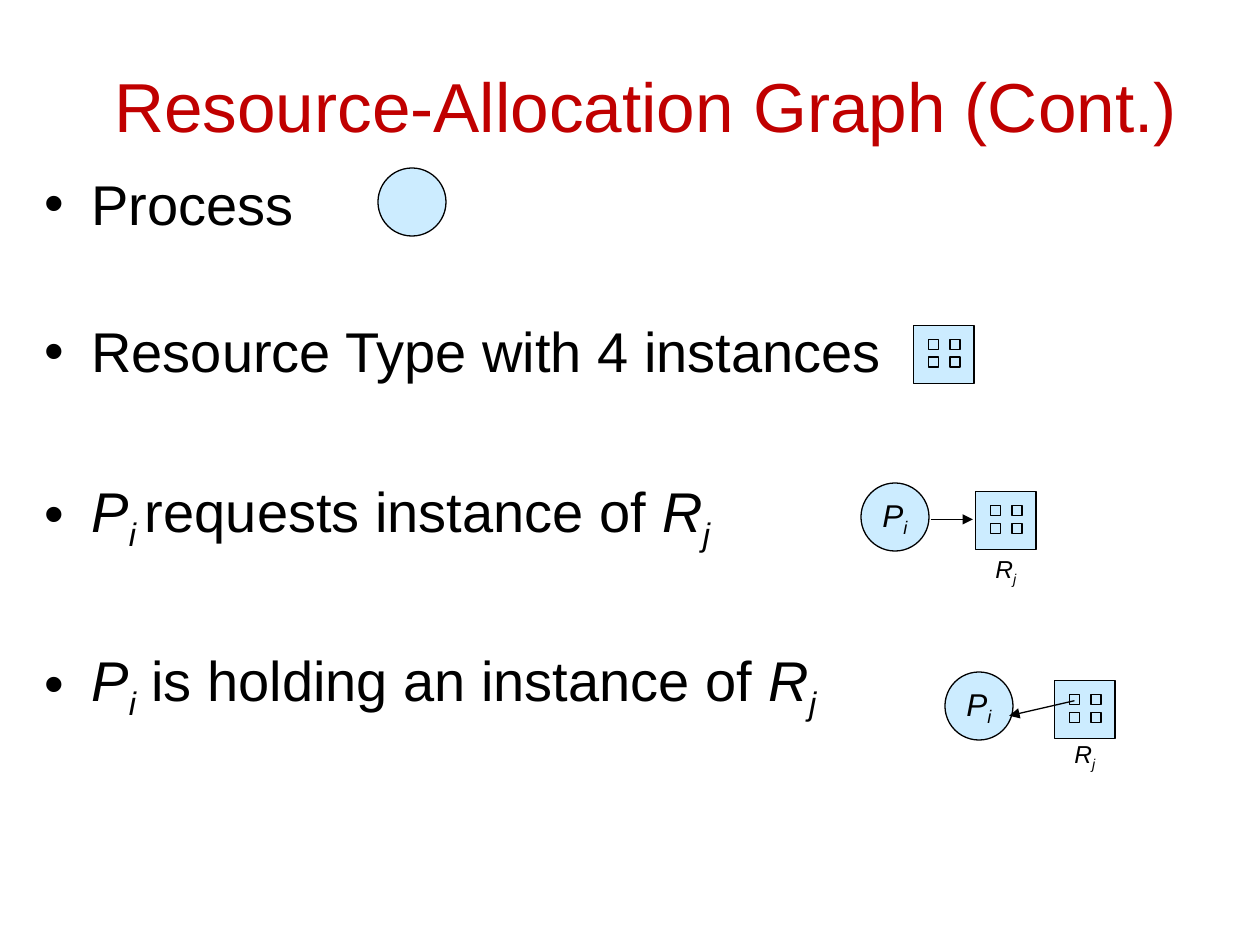
from itertools import product

from lxml.etree import SubElement
from pptx import Presentation
from pptx.dml.color import RGBColor
from pptx.enum.shapes import MSO_CONNECTOR, MSO_SHAPE
from pptx.enum.text import MSO_ANCHOR, MSO_AUTO_SIZE, PP_ALIGN
from pptx.oxml.ns import qn
from pptx.util import Pt

COLORS = {"title": "C00000", "text": "000000", "line": "000000", "fill": "CCECFF"}
FONT = "Arial"
CIRCLE = 38.9
SQUARE_WIDTH, SQUARE_HEIGHT = 34.6, 33.1
INSTANCE = 5.8
PROCESS_NAME = [("P", "italic"), ("i", "sub")]
RESOURCE_NAME = [("R", "italic"), ("j", "sub")]
BULLETS = [
    (0, [("Process", "plain")]),
    (46, [("Resource Type with 4 instances", "plain")]),
    (52.5, [("P", "italic"), ("i ", "sub"), ("requests instance of ", "plain"), *RESOURCE_NAME]),
    (53, [*PROCESS_NAME, (" is holding an instance of ", "plain"), *RESOURCE_NAME]),
]


def place(shape, left, top, width, height):
    """Move and size a shape, in points."""
    shape.left, shape.top = Pt(left), Pt(top)
    shape.width, shape.height = Pt(width), Pt(height)


def write(paragraph, pieces, size, color="text"):
    """Add styled runs, with subscripts in italics, to a paragraph."""
    for text, style in pieces:
        run = paragraph.add_run()
        run.text = text
        run.font.name, run.font.size = FONT, Pt(size)
        run.font.italic = style != "plain"
        run.font.color.rgb = RGBColor.from_string(COLORS[color])
        if style == "sub":
            run._r.get_or_add_rPr().set("baseline", "-25000")


def center_text(shape, pieces, size):
    """Write one centred line in the middle of a shape."""
    frame = shape.text_frame
    frame.word_wrap = False
    frame.vertical_anchor = MSO_ANCHOR.MIDDLE
    frame.paragraphs[0].alignment = PP_ALIGN.CENTER
    write(frame.paragraphs[0], pieces, size)


def add_node(shapes, kind, left, top, width, height):
    """Add a pale blue outlined shape."""
    shape = shapes.add_shape(kind, Pt(left), Pt(top), Pt(width), Pt(height))
    shape.shadow.inherit = False
    shape.fill.solid()
    shape.fill.fore_color.rgb = RGBColor.from_string(COLORS["fill"])
    shape.line.color.rgb = RGBColor.from_string(COLORS["line"])
    shape.line.width = Pt(0.75)
    return shape


def add_process(shapes, left, top):
    """Add a process circle."""
    return add_node(shapes, MSO_SHAPE.OVAL, left, top, CIRCLE, CIRCLE)


def add_resource(shapes, left, top):
    """Add a resource square holding a two by two grid of instances."""
    add_node(shapes, MSO_SHAPE.RECTANGLE, left, top, SQUARE_WIDTH, SQUARE_HEIGHT)
    for row, column in product(range(2), repeat=2):
        add_node(shapes, MSO_SHAPE.RECTANGLE, left + 8.6 + column * 12.2,
                 top + 7.9 + row * 10.1, INSTANCE, INSTANCE)


def add_arrow(shapes, start, end):
    """Add a thin arrow from start to end."""
    arrow = shapes.add_connector(MSO_CONNECTOR.STRAIGHT, *map(Pt, (*start, *end)))
    arrow.line.color.rgb = RGBColor.from_string(COLORS["line"])
    arrow.line.width = Pt(0.75)
    SubElement(arrow.line._get_or_add_ln(), qn("a:tailEnd"), type="triangle")
    SubElement(arrow._element.spPr, qn("a:effectLst"))


def add_edge(slide, left, top, resource_offset, label_top, start, end):
    """Add a process and a resource joined by an arrow, placed from the top left."""
    shapes = slide.shapes.add_group_shape().shapes
    center_text(add_process(shapes, left, top), PROCESS_NAME, 18)
    resource_left = left + resource_offset
    add_resource(shapes, resource_left, top + 5)
    add_arrow(shapes, (left + start[0], top + start[1]), (left + end[0], top + end[1]))
    width = 26.6
    label = shapes.add_textbox(Pt(resource_left + (SQUARE_WIDTH - width) / 2),
                               Pt(top + label_top), Pt(width), Pt(23.8))
    center_text(label, RESOURCE_NAME, 14)


def fill_title(title, box):
    """Place and write the title."""
    place(title, *box)
    frame = title.text_frame
    frame.auto_size = MSO_AUTO_SIZE.NONE
    frame.vertical_anchor = MSO_ANCHOR.MIDDLE
    frame.paragraphs[0].alignment = PP_ALIGN.CENTER
    write(frame.paragraphs[0], [("Resource-Allocation Graph (Cont.)", "plain")], 39.6, "title")


def fill_body(body, box):
    """Place the bulleted list and write its items."""
    place(body, *box)
    frame = body.text_frame
    frame.auto_size = MSO_AUTO_SIZE.NONE
    frame.margin_top = Pt(7.4)
    for index, (space, pieces) in enumerate(BULLETS):
        paragraph = frame.add_paragraph() if index else frame.paragraphs[0]
        paragraph.space_before = Pt(space)
        properties = paragraph._p.get_or_add_pPr()
        properties.set("marL", str(Pt(27)))
        properties.set("indent", str(Pt(-27)))
        SubElement(properties, qn("a:buChar"), char="•")
        write(paragraph, pieces, 32)


def main():
    """Build and save the slide."""
    presentation = Presentation()
    presentation.slide_width, presentation.slide_height = Pt(720), Pt(540)
    slide = presentation.slides.add_slide(presentation.slide_layouts[1])
    fill_title(slide.shapes.title, (30, 12, 678, 96))
    fill_body(slide.placeholders[1], (18, 89.3, 678, 414.7))
    add_process(slide.shapes, 216, 96)
    add_resource(slide.shapes.add_group_shape().shapes, 522, 186)
    add_edge(slide, 492, 276, 65.5, 38, (40, 20.8), (64, 20.8))
    add_edge(slide, 540, 384, 62.6, 36, (74, 16.4), (36.7, 25))
    presentation.save("out.pptx")


if __name__ == "__main__":
    main()
